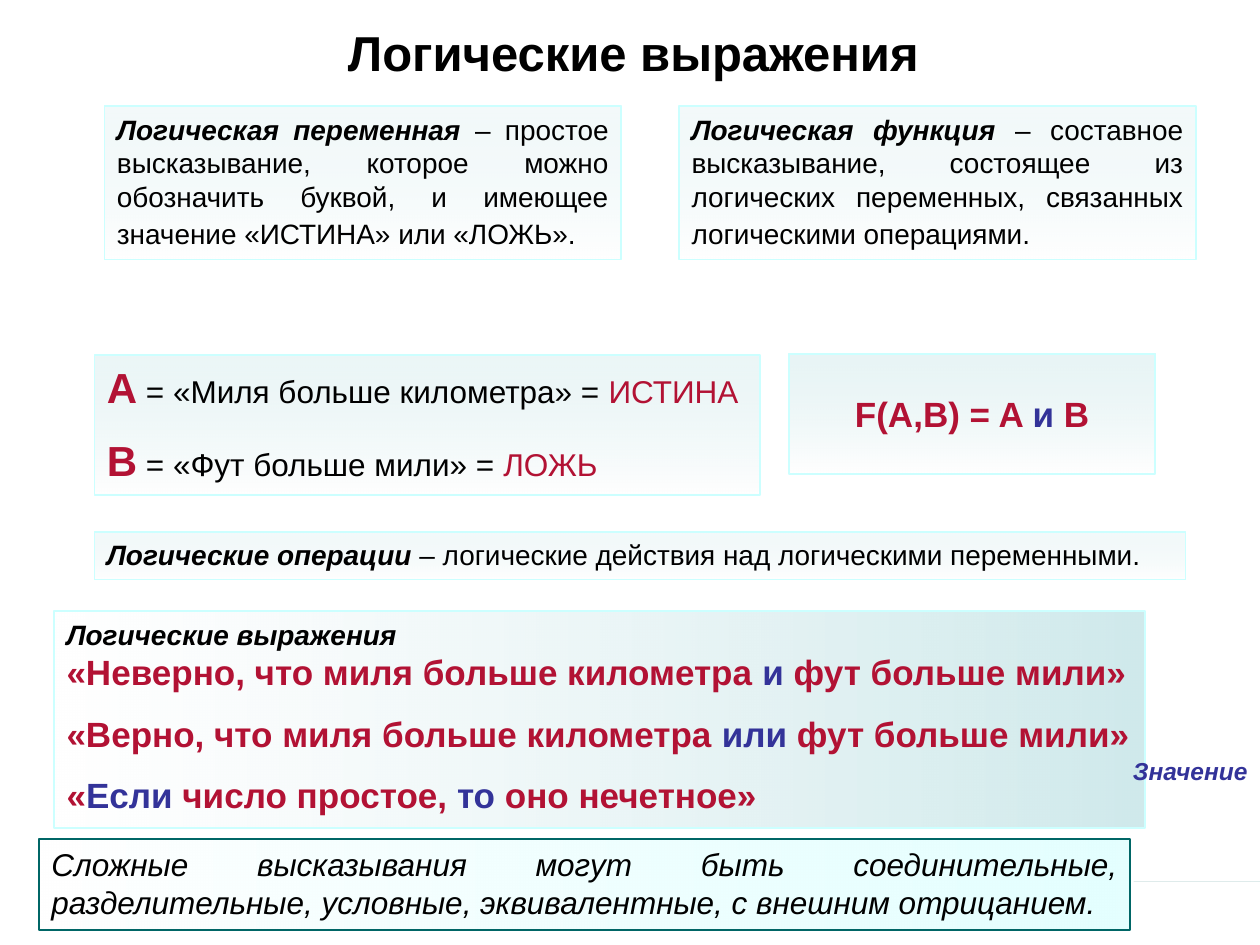
"""Build the slide on logical expressions: definitions, examples and two bent arrows."""
from lxml import etree
from pptx import Presentation
from pptx.dml.color import RGBColor
from pptx.enum.shapes import MSO_SHAPE
from pptx.enum.text import MSO_ANCHOR, PP_ALIGN
from pptx.oxml.ns import qn
from pptx.util import Inches, Pt

RECTANGLE = MSO_SHAPE.RECTANGLE
TOP, MIDDLE = MSO_ANCHOR.TOP, MSO_ANCHOR.MIDDLE
LEFT, CENTER, RIGHT, JUSTIFY = PP_ALIGN.LEFT, PP_ALIGN.CENTER, PP_ALIGN.RIGHT, PP_ALIGN.JUSTIFY

BLACK = RGBColor(0x00, 0x00, 0x00)
WHITE = RGBColor(0xFF, 0xFF, 0xFF)
CRIMSON = RGBColor(0xB2, 0x12, 0x34)
INDIGO = RGBColor(0x33, 0x33, 0x99)
MIST = RGBColor(0xBB, 0xE0, 0xE3)
ICE = RGBColor(0xCC, 0xFF, 0xFF)
TEAL = RGBColor(0x00, 0x66, 0x66)

FONT = "Arial"
DOWN, ACROSS = 270, 0

TERM = (16, BLACK, "bi")
BODY = (16, BLACK, "")
SPACER = (18, BLACK, "")
LETTER = (24, CRIMSON, "b")
CLAIM = (18, BLACK, "")
VERDICT = (18, CRIMSON, "")
PHRASE = (20, CRIMSON, "b")
OPERATOR = (20, INDIGO, "b")

PALE = ((MIST, 17), (WHITE, 43), DOWN, ICE)
LIGHT = ((MIST, 28), (WHITE, 57), DOWN, ICE)
MEDIUM = ((MIST, 33), (WHITE, 60), DOWN, ICE)
SIDEWAYS = ((WHITE, 43), (MIST, 69), ACROSS, ICE)
SUMMARY = ((WHITE, 65), (ICE, 52), ACROSS, TEAL)

PANELS = [
    ((0.83, 0.84, 4.1, 1.22), PALE, JUSTIFY, TOP, 0, [[
        ("Логическая переменная", TERM),
        (" – простое высказывание, которое можно обозначить буквой, "
         "и имеющее значение «ИСТИНА» или «ЛОЖЬ».", BODY),
        (" ", SPACER)]]),
    ((5.39, 0.84, 4.1, 1.22), PALE, JUSTIFY, TOP, 0, [[
        ("Логическая функция ", TERM),
        ("– составное высказывание, состоящее из логических переменных, "
         "связанных логическими операциями.", BODY),
        (" ", SPACER)]]),
    ((0.75, 4.22, 8.66, 0.38), PALE, JUSTIFY, TOP, 0, [[
        ("Логические операции ", TERM),
        ("– логические действия над логическими переменными.", BODY)]]),
    ((0.75, 2.82, 5.28, 1.11), LIGHT, JUSTIFY, TOP, 13, [
        [("А", LETTER), (" = «Миля больше километра» = ", CLAIM), ("ИСТИНА ", VERDICT)],
        [("В", LETTER), (" = «Фут больше мили» = ", CLAIM), ("ЛОЖЬ", VERDICT)]]),
    ((6.26, 2.81, 2.91, 0.95), MEDIUM, CENTER, MIDDLE, 0, [
        [("F(A,B) = A ", PHRASE), ("и", OPERATOR), (" В", PHRASE)]]),
    ((0.43, 4.85, 8.66, 1.72), SIDEWAYS, LEFT, TOP, 11, [
        [("Логические выражения \n", TERM),
         ("«Неверно, что миля больше километра ", PHRASE), ("и", OPERATOR),
         (" фут больше мили»", PHRASE)],
        [("«Верно, что миля больше километра ", PHRASE), ("или", OPERATOR),
         (" фут больше мили»", PHRASE)],
        [("«", PHRASE), ("Если", OPERATOR), (" число простое, ", PHRASE),
         ("то", OPERATOR), (" оно нечетное»", PHRASE)]]),
    ((0.31, 6.66, 8.66, 0.72), SUMMARY, JUSTIFY, TOP, 0, [[
        ("Сложные высказывания могут быть соединительные, разделительные, "
         "условные, эквивалентные, с внешним отрицанием.", (18, BLACK, "i"))]]),
]

LABELS = [
    ((0.67, 0.13, 8.82, 0.57), CENTER, ("Логические выражения ", (28, BLACK, "b"))),
    ((8.74, 5.95, 1.26, 0.33), RIGHT, ("Значение", (14, INDIGO, "bi"))),
]

ARROW_TIP = [(0.36, 0.24), (0.51, 0.12), (0.36, 0), (0.36, 0.06)]
OUTER_BEND = [(0.29, 0.06), (0.13, 0.06), (0, 0.14), (0, 0.24)]
ARROW_TAIL = [(0, 0.43), (0.15, 0.43)]
INNER_BEND = [(0.15, 0.24), (0.15, 0.21), (0.22, 0.19), (0.29, 0.19)]
ARROW_NECK = [(0.36, 0.19)]
CURVE_STEPS = 12


def bezier(controls):
    points = []
    for step in range(CURVE_STEPS + 1):
        t = step / CURVE_STEPS
        weights = ((1 - t) ** 3, 3 * t * (1 - t) ** 2, 3 * t * t * (1 - t), t ** 3)
        points.append(tuple(sum(w * c[axis] for w, c in zip(weights, controls))
                            for axis in (0, 1)))
    return points


def write(frame, paragraphs, alignment, anchor=TOP, gap=0):
    frame.word_wrap = True
    frame.vertical_anchor = anchor
    for index, pieces in enumerate(paragraphs):
        paragraph = frame.add_paragraph() if index else frame.paragraphs[0]
        paragraph.alignment = alignment
        if index:
            paragraph.space_before = Pt(gap)
        for words, (size, color, style) in pieces:
            run = paragraph.add_run()
            run.text = words.rstrip("\n")
            run.font.name, run.font.size = FONT, Pt(size)
            run.font.bold, run.font.italic = "b" in style, "i" in style
            run.font.color.rgb = color
            if words.endswith("\n"):
                paragraph.add_line_break()


def add_panel(slide, place, look, alignment, anchor, gap, paragraphs):
    start, end, angle, border = look
    panel = slide.shapes.add_shape(RECTANGLE, *map(Inches, place))
    panel.shadow.inherit = False
    panel.fill.gradient()
    panel.fill.gradient_angle = angle
    for stop, (color, _) in zip(panel.fill.gradient_stops, (start, end)):
        stop.color.rgb = color
    tints = panel._element.spPr.iter(qn("a:srgbClr"))
    for tint, (_, opacity) in zip(list(tints), (start, end)):
        etree.SubElement(tint, qn("a:alpha"), val=str(opacity * 1000))
    panel.line.color.rgb = border
    panel.line.width = Pt(1)
    write(panel.text_frame, paragraphs, alignment, anchor, gap)


def add_arrow(slide, points):
    builder = slide.shapes.build_freeform(*points[0], scale=Inches(1))
    builder.add_line_segments(points[1:], close=True)
    arrow = builder.convert_to_shape()
    arrow.shadow.inherit = False
    arrow.fill.solid()
    arrow.fill.fore_color.rgb = TEAL
    arrow.line.fill.background()


def main():
    deck = Presentation()
    deck.slide_width, deck.slide_height = Inches(10), Inches(7.5)
    slide = deck.slides.add_slide(deck.slide_layouts[6])
    for panel in PANELS:
        add_panel(slide, *panel)
    for place, alignment, piece in LABELS:
        label = slide.shapes.add_textbox(*map(Inches, place))
        write(label.text_frame, [[piece]], alignment)
    outline = ARROW_TIP + bezier(OUTER_BEND) + ARROW_TAIL + bezier(INNER_BEND) + ARROW_NECK
    add_arrow(slide, [(8.98 + across, 7.37 - along) for along, across in outline])
    add_arrow(slide, [(9.37 + along, 6.94 + across) for along, across in outline])
    deck.save("out.pptx")


if __name__ == "__main__":
    main()
